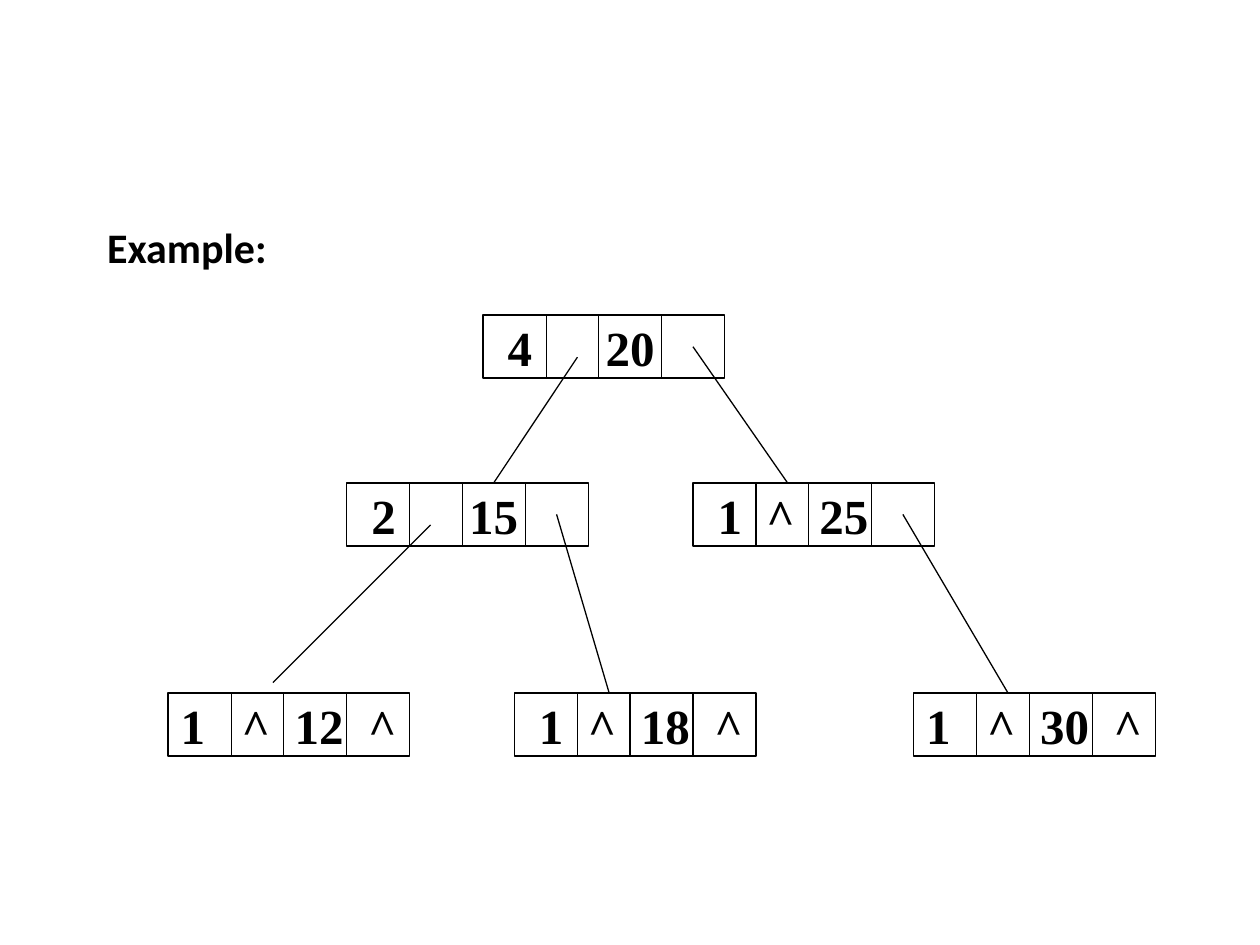
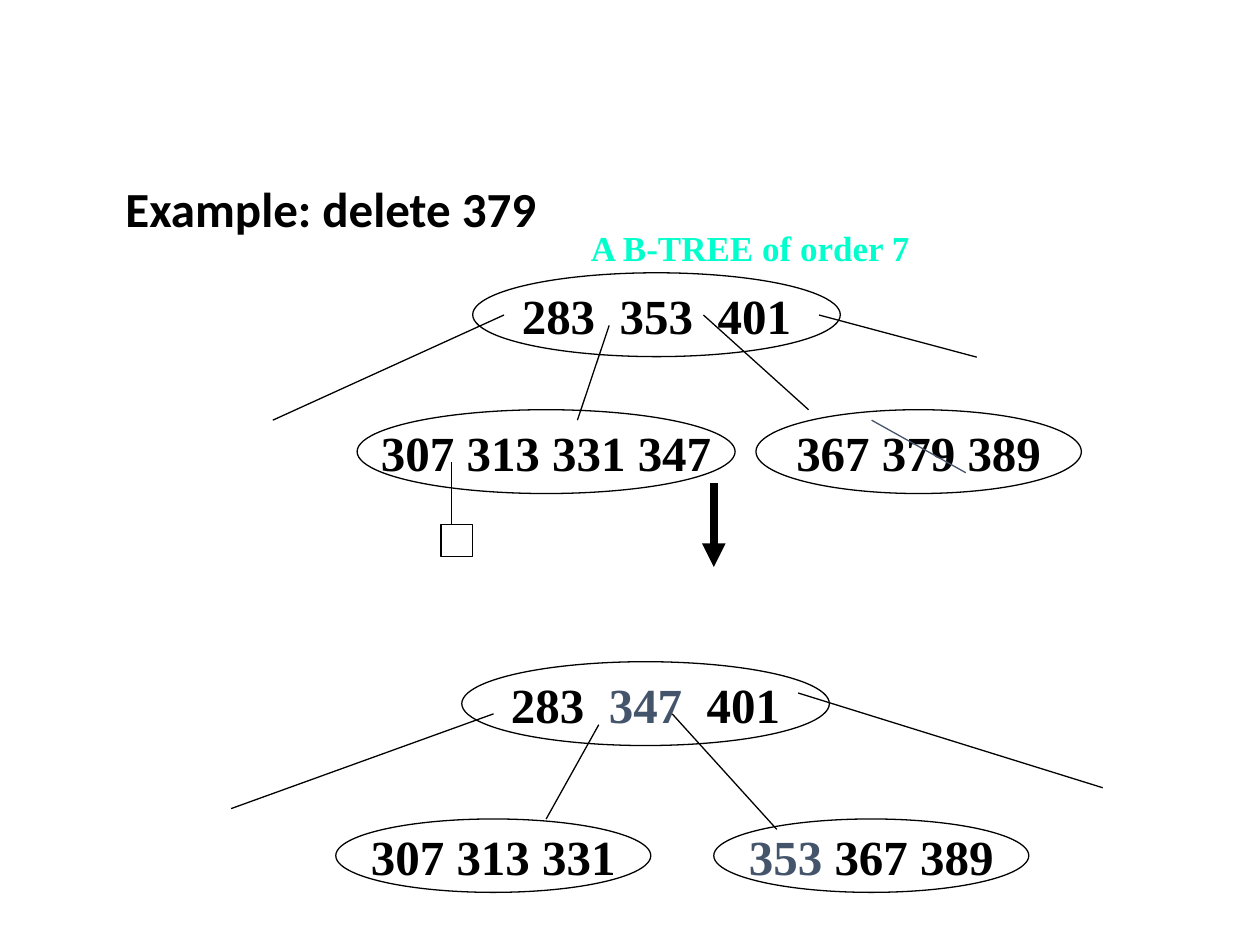
import pptx
import pptx.util
import pptx.dml.color
import pptx.enum.shapes
import pptx.enum.text
import pptx.oxml.ns
from lxml import etree

Cm, Pt = pptx.util.Cm, pptx.util.Pt
RGB = pptx.dml.color.RGBColor.from_string
FORM = pptx.enum.shapes.MSO_SHAPE
ALIGN = pptx.enum.text.PP_ALIGN
MID = pptx.enum.text.MSO_ANCHOR.MIDDLE
qn = pptx.oxml.ns.qn

HUES = {"ink": "000000", "mark": "44546A", "label": "00FFCC"}
HEAD = {"name": "Calibri", "size": Pt(24), "bold": True}
BIG = {**HEAD, "size": Pt(28)}
KEY = {"name": "Times New Roman", "size": Pt(28), "bold": True}
NOTE = {**KEY, "size": Pt(20)}


def box(slide, form, place, words, style, wrap=False, align=ALIGN.LEFT, gap=0):
    """Add a shape (or a text box if form is None); gap widens the space between words, in points."""
    place = [Cm(n) for n in place]
    if form is None:
        item = slide.shapes.add_textbox(*place)
    else:
        item = slide.shapes.add_shape(form, *place)
        item.shadow.inherit = False
        item.fill.background()
        item.line.color.rgb = RGB(HUES["ink"])
        item.line.width = Pt(0.75)
        item.text_frame.vertical_anchor = MID
    item.text_frame.word_wrap = wrap
    para = item.text_frame.paragraphs[0]
    para.alignment = align
    for i, (text, hue) in enumerate(words):
        for part in ([" ", text] if i else [text]):
            run = para.add_run()
            run.text = part
            for name, value in style.items():
                setattr(run.font, name, value)
            run.font.color.rgb = RGB(HUES[hue])
            if part == " " and gap:
                run._r.get_or_add_rPr().set("spc", str(gap * 100))
    return item


def link(slide, ends, hue="ink", width=0.75):
    item = slide.shapes.add_connector(
        pptx.enum.shapes.MSO_CONNECTOR.STRAIGHT, *[Cm(n) for n in ends])
    item.line.color.rgb = RGB(HUES[hue])
    item.line.width = Pt(width)
    etree.SubElement(item._element.spPr, qn("a:effectLst"))
    return item


deck = pptx.Presentation()
deck.slide_width, deck.slide_height = Cm(25.4), Cm(19.05)
blank = deck.slide_layouts[6]

# Slide 1: nodes with a count, left link, key and right link
slide = deck.slides.add_slide(blank)
head = box(slide, None, (1.91, 4.45, 21.59, 12.5), [("Example:", "ink")], HEAD, True)
head.text_frame.paragraphs[0].line_spacing = 0.9

WIDE, HIGH = 4.87, 1.27
RULES = (1.27, 2.33, 3.6)
nodes = [
    (9.74, 6.35, " 4\t\t20"),
    (6.99, 9.74, " 2\t\t15"),
    (13.97, 9.74, " 1\t^\t25"),
    (10.37, 13.97, " 1\t^\t18\t^"),
    (3.39, 13.97, "1\t^\t12\t^"),
    (18.42, 13.97, "1\t^\t30\t^"),
]
for x, y, text in nodes:
    node = box(slide, FORM.RECTANGLE, (x, y, WIDE, HIGH), [(text, "ink")], KEY)
    props = node.text_frame.paragraphs[0]._p.get_or_add_pPr()
    tabs = etree.SubElement(props, qn("a:tabLst"))
    for stop in (1.23, 2.22 if "\t\t" in text else 2.3, 3.78):
        etree.SubElement(tabs, qn("a:tab"), pos=str(int(Cm(stop))), algn="l")
    for rule in RULES:
        link(slide, (x + rule, y, x + rule, y + HIGH))

for ends in [
    (11.64, 7.2, 9.95, 9.74),
    (13.97, 6.99, 15.88, 9.74),
    (8.68, 10.58, 5.5, 13.76),
    (11.22, 10.37, 12.28, 13.97),
    (18.2, 10.37, 20.32, 13.97),
]:
    link(slide, ends)

# Slide 2: the tree before and after the deletion
slide = deck.slides.add_slide(blank)
head = box(slide, None, (2.28, 3.6, 21.42, 11.43), [("Example: delete 379", "ink")], BIG, True)
head.text_frame.paragraphs[0].line_spacing = 0.9

ovals = [
    ((9.53, 5.5, 7.41, 1.69), [("283", "ink"), ("353", "ink"), ("401", "ink")], 7),
    ((7.2, 8.26, 7.62, 1.69), [("307 313 331 347", "ink")], 0),
    ((15.24, 8.26, 6.56, 1.69), [("367 379 389", "ink")], 0),
    ((9.31, 13.34, 7.41, 1.69), [("283", "ink"), ("347", "mark"), ("401", "ink")], 7),
    ((6.77, 16.51, 6.35, 1.48), [("307 313 331", "ink")], 0),
    ((14.39, 16.51, 6.35, 1.48), [("353", "mark"), ("367 389", "ink")], 0),
]
for place, words, gap in ovals:
    box(slide, FORM.OVAL, place, words, KEY, align=ALIGN.CENTER, gap=gap)

box(slide, FORM.RECTANGLE, (8.89, 10.58, 0.64, 0.64), [], KEY)
for ends in [
    (10.16, 6.35, 5.5, 8.47),
    (12.28, 6.56, 11.64, 8.47),
    (14.18, 6.35, 16.3, 8.26),
    (16.51, 6.35, 19.69, 7.2),
    (9.1, 9.31, 9.1, 10.58),
    (9.95, 14.39, 4.66, 16.3),
    (12.07, 14.61, 11.01, 16.51),
    (13.55, 14.39, 15.66, 16.72),
    (16.09, 13.97, 22.23, 15.88),
]:
    link(slide, ends)

link(slide, (17.57, 8.47, 19.47, 9.53), "mark")
arrow = link(slide, (14.39, 9.74, 14.39, 11.43), width=4.5)
etree.SubElement(arrow.line._get_or_add_ln(), qn("a:tailEnd"), type="triangle")
box(slide, None, (11.66, 4.45, 7.01, 1.12), [("A B-TREE of order 7", "label")], NOTE)

deck.save("out.pptx")
